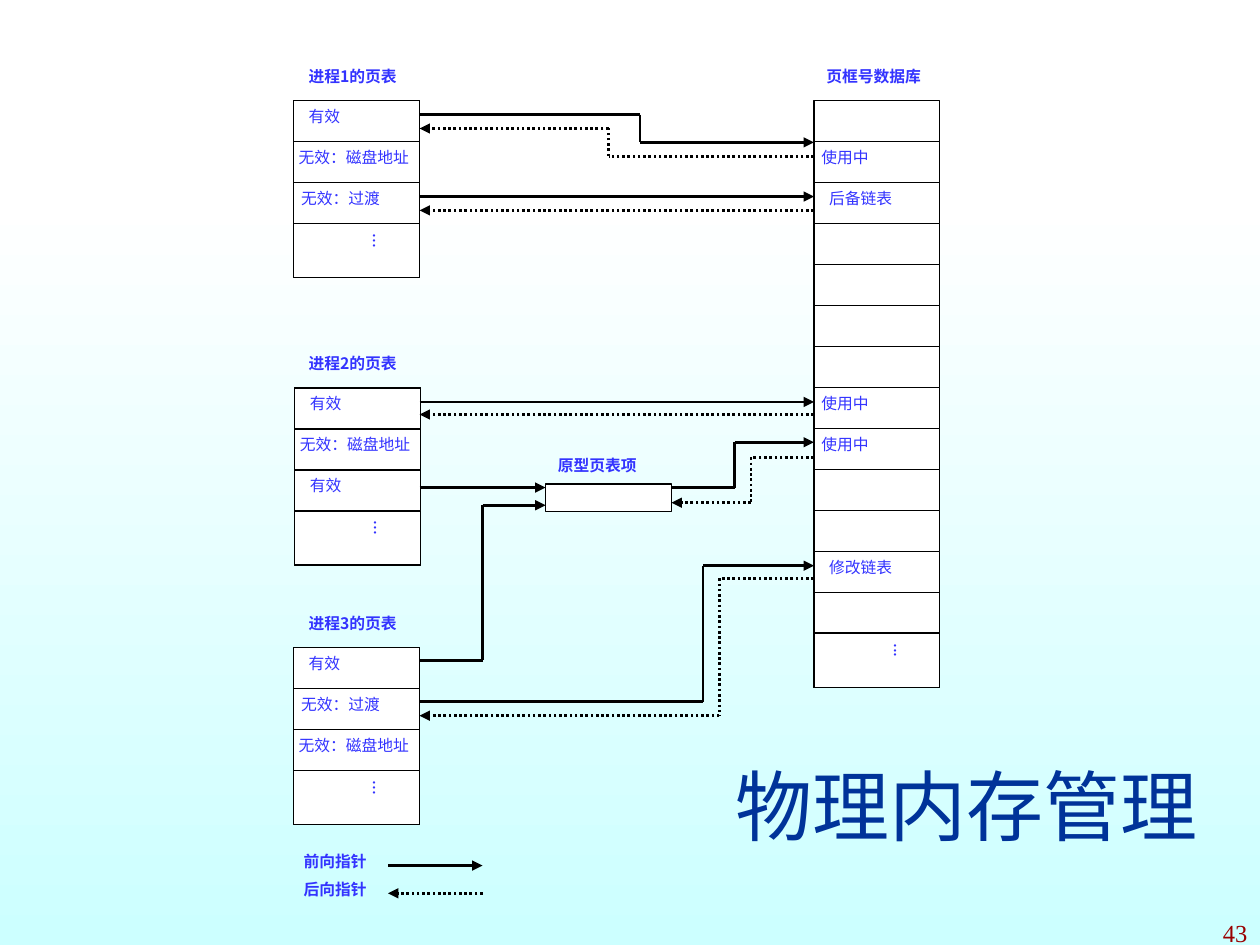
from itertools import pairwise

from lxml.etree import SubElement
from pptx import Presentation
from pptx.dml.color import RGBColor
from pptx.enum.dml import MSO_LINE
from pptx.enum.shapes import MSO_CONNECTOR, MSO_SHAPE
from pptx.enum.text import MSO_ANCHOR, MSO_AUTO_SIZE, PP_ALIGN
from pptx.oxml.ns import qn
from pptx.util import Inches, Pt

EAST_ASIAN_FONT = "Noto Sans CJK SC"
BLUE = "3333FF"
ROW_HEIGHT = 0.325
LAST_ROW_HEIGHT = 0.43
COLUMN_WIDTH = 1
DOTS = "..."
VALID = ("有效", 0.12)
ON_DISK = ("无效：磁盘地址", 0.04)
TRANSITION = ("无效：过渡", 0.06)
IN_USE = ("使用中", 0.06)
EMPTY = ("", 0.1)
UNDRAWN = None

PAGE_TABLES = [
    ("进程1的页表", 2.33, 0.8, [VALID, ON_DISK, TRANSITION]),
    ("进程2的页表", 2.34, 3.08, [VALID, ON_DISK, VALID]),
    ("进程3的页表", 2.33, 5.14, [VALID, TRANSITION, ON_DISK]),
]
FRAME_ROWS = [
    UNDRAWN, IN_USE, ("后备链表", 0.12), UNDRAWN, EMPTY, EMPTY, UNDRAWN,
    IN_USE, IN_USE, EMPTY, UNDRAWN, ("修改链表", 0.12), UNDRAWN,
]
FORWARD_ROUTES = [
    [(3.33, 0.91), (5.08, 0.91), (5.08, 1.13), (6.46, 1.13)],
    [(3.33, 1.56), (6.46, 1.56)],
    [(3.33, 3.19), (6.46, 3.19)],
    [(3.33, 3.87), (4.33, 3.87)],
    [(5.33, 3.87), (5.83, 3.87), (5.83, 3.51), (6.46, 3.51)],
    [(3.33, 5.24), (3.83, 5.24), (3.83, 4.01), (4.33, 4.01)],
    [(3.33, 5.57), (5.58, 5.57), (5.58, 4.49), (6.46, 4.49)],
    [(3.08, 6.87), (3.83, 6.87)],
]
BACKWARD_ROUTES = [
    [(6.46, 1.24), (4.83, 1.24), (4.83, 1.02), (3.33, 1.02)],
    [(6.46, 1.67), (3.33, 1.67)],
    [(6.46, 3.29), (3.33, 3.29)],
    [(6.46, 3.63), (5.96, 3.63), (5.96, 3.99), (5.33, 3.99)],
    [(6.46, 4.59), (5.71, 4.59), (5.71, 5.68), (3.33, 5.68)],
    [(3.83, 7.09), (3.08, 7.09)],
]


def color(value):
    return RGBColor.from_string(value)


def write_text(shape, text, size=9, font="Times New Roman", fill=BLUE, bold=False,
               align=PP_ALIGN.JUSTIFY, insets=(0.1, 0.05, 0.1, 0.05),
               line_spacing=None, vertical=False):
    frame = shape.text_frame
    frame.word_wrap = True
    frame.auto_size = MSO_AUTO_SIZE.NONE
    frame.vertical_anchor = MSO_ANCHOR.TOP
    frame.margin_left, frame.margin_top, frame.margin_right, frame.margin_bottom = map(Inches, insets)
    if vertical:
        frame._txBody.bodyPr.set("vert", "eaVert")
    paragraph = frame.paragraphs[0]
    paragraph.alignment = align
    paragraph.line_spacing = line_spacing
    run = paragraph.add_run()
    run.text = text
    run.font.size = Pt(size)
    run.font.bold = bold
    run.font.color.rgb = color(fill)
    run.font.name = font
    SubElement(run.font._element, qn("a:ea")).set("typeface", EAST_ASIAN_FONT)


def add_label(slide, text, left, top, width, height, **text_format):
    box = slide.shapes.add_textbox(Inches(left), Inches(top), Inches(width), Inches(height))
    write_text(box, text, **text_format)


def add_box(slide, left, top, width, height):
    box = slide.shapes.add_shape(
        MSO_SHAPE.RECTANGLE, Inches(left), Inches(top), Inches(width), Inches(height))
    box.shadow.inherit = False
    box.fill.solid()
    box.fill.fore_color.rgb = color("FFFFFF")
    box.line.color.rgb = color("000000")
    box.line.width = Pt(0.75)
    return box


def add_column(slide, left, top, rows):
    dots_top = top + len(rows) * ROW_HEIGHT
    add_box(slide, left, top, COLUMN_WIDTH, dots_top - top + LAST_ROW_HEIGHT)
    for index, row in enumerate(rows):
        if row is UNDRAWN:
            continue
        cell = add_box(slide, left, top + index * ROW_HEIGHT, COLUMN_WIDTH, ROW_HEIGHT)
        text, indent = row
        if text:
            write_text(cell, text, insets=(indent, 0.05, 0.04, 0.05))
    dots_cell = add_box(slide, left, dots_top, COLUMN_WIDTH, LAST_ROW_HEIGHT)
    write_text(dots_cell, DOTS, size=10, font=EAST_ASIAN_FONT,
               insets=(0.05, 0.08, 0.29, 0.14), vertical=True)


def add_route(slide, points, dotted=False):
    for start, end in pairwise(points):
        connector = slide.shapes.add_connector(
            MSO_CONNECTOR.STRAIGHT, *map(Inches, (*start, *end)))
        connector.line.color.rgb = color("000000")
        connector.line.width = Pt(1.5)
        if dotted:
            connector.line.dash_style = MSO_LINE.ROUND_DOT
        if end == points[-1]:
            SubElement(connector.line._get_or_add_ln(), qn("a:tailEnd")).set("type", "triangle")
        SubElement(connector._element.spPr, qn("a:effectLst"))


def add_backdrop(slide):
    backdrop = add_box(slide, 0, 1.55, 10, 5.95)
    backdrop.line.fill.background()
    backdrop.fill.gradient()
    backdrop.fill.gradient_angle = 270
    for stop, value in zip(backdrop.fill.gradient_stops, ("FFFFFF", "CCFFFF")):
        stop.color.rgb = color(value)


def add_title(slide, text):
    title = slide.shapes.title
    title.left, title.top, title.width, title.height = map(Inches, (5.74, 6.05, 4.26, 1.45))
    write_text(title, text, size=44, font="Arial", fill="003399",
               align=PP_ALIGN.LEFT, line_spacing=0.9)
    slide.shapes._spTree.append(title._element)


def main():
    presentation = Presentation()
    presentation.slide_width, presentation.slide_height = Inches(10), Inches(7.5)
    slide = presentation.slides.add_slide(presentation.slide_layouts[5])

    add_backdrop(slide)
    add_label(slide, "43", 7.17, 7.24, 2.83, 0.26, size=14, fill="990000", align=PP_ALIGN.RIGHT)
    for heading, left, top, rows in PAGE_TABLES:
        add_label(slide, heading, 2.33, top - 0.32, COLUMN_WIDTH, 0.32, bold=True,
                  font=EAST_ASIAN_FONT, insets=(0.12, 0.05, 0.1, 0.05))
        add_column(slide, left, top, rows)
    add_label(slide, "页框号数据库", 6.46, 0.48, COLUMN_WIDTH, 0.32, bold=True)
    add_column(slide, 6.46, 0.8, FRAME_ROWS)

    add_box(slide, 4.33, 3.84, COLUMN_WIDTH, 0.22)
    add_label(slide, "原型页表项", 4.33, 3.62, COLUMN_WIDTH, 0.22, bold=True, insets=(0.1, 0, 0.1, 0))
    for text, top in (("前向指针", 6.76), ("后向指针", 6.98)):
        add_label(slide, text, 2.33, top, COLUMN_WIDTH, 0.22, bold=True, insets=(0.08, 0, 0.1, 0))

    for points in FORWARD_ROUTES:
        add_route(slide, points)
    for points in BACKWARD_ROUTES:
        add_route(slide, points, dotted=True)
    add_title(slide, "物理内存管理")
    presentation.save("out.pptx")


if __name__ == "__main__":
    main()
